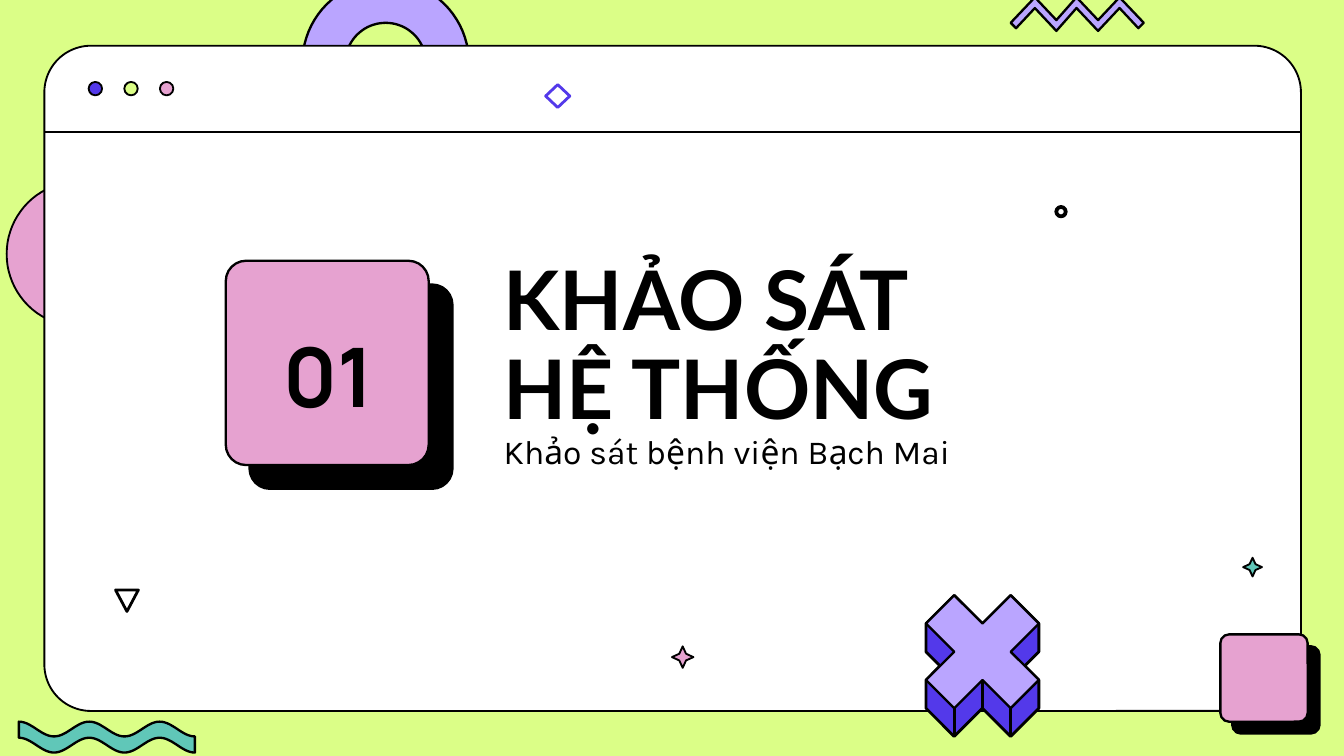
"""Build the section slide "KHẢO SÁT HỆ THỐNG" with its window and decorations."""
from math import cos, pi, sin

from lxml import etree
from pptx import Presentation
from pptx import util as u
from pptx.dml.color import RGBColor
from pptx.enum import shapes, text
from pptx.oxml import ns

LIME = RGBColor(0xDB, 0xFE, 0x87)
LILAC = RGBColor(0xBA, 0xA5, 0xFF)
INDIGO = RGBColor(0x53, 0x39, 0xEA)
PINK = RGBColor(0xE6, 0xA2, 0xD0)
TEAL = RGBColor(0x60, 0xC7, 0xB8)
WHITE = RGBColor(0xFF, 0xFF, 0xFF)
BLACK = RGBColor(0, 0, 0)
SHAPE = shapes.MSO_SHAPE
TOP, MIDDLE, BOTTOM = text.MSO_ANCHOR.TOP, text.MSO_ANCHOR.MIDDLE, text.MSO_ANCHOR.BOTTOM
LEFT, CENTER = text.PP_ALIGN.LEFT, text.PP_ALIGN.CENTER

LABELS = [
    ("KHẢO SÁT\vHỆ THỐNG", (3.65, 1.85, 4.33, 1.45), "Lato", 44, True, BOTTOM, LEFT, 0),
    ("Khảo sát bệnh viện Bạch Mai", (3.65, 3.19, 4.33, 0.47), "Karla", 18, False, TOP, LEFT, 7.5),
    ("01", (1.69, 2.44, 1.51, 0.79), "Manrope", 44, True, MIDDLE, CENTER, 7.5),
]
CARDS = [((1.68, 1.94, 1.51, 1.52), 18), ((9.08, 4.72, 0.65, 0.65), 9)]
SPARKLES = [((5, 4.81, 0.16, 0.16), PINK), ((9.25, 4.15, 0.14, 0.14), TEAL)]
OUTLINED = [
    (SHAPE.FLOWCHART_MERGE, (0.86, 4.39, 0.17, 0.16), BLACK, 1.5),
    (SHAPE.DIAMOND, (4.06, 0.63, 0.18, 0.17), INDIGO, 1.5),
    (SHAPE.OVAL, (7.86, 1.54, 0.07, 0.07), BLACK, 2),
]
WINDOW_DOTS = [INDIGO, LIME, PINK]
ZIGZAG = [
    (8.17, 0.23), (8.01, 0.06), (7.86, 0.23), (7.7, 0.06), (7.56, 0.21), (7.52, 0.17), (7.7, -0.02),
    (7.86, 0.15), (8.01, -0.02), (8.17, 0.15), (8.33, -0.02), (8.51, 0.17), (8.47, 0.21), (8.33, 0.06),
]
CROSS_CENTER, CROSS_ARM, CROSS_DEPTH = (7.31, 4.85), 0.21, 0.21
CROSS_FACE = [(1, -2), (2, -1), (1, 0), (2, 1), (1, 2), (0, 1),
              (-1, 2), (-2, 1), (-1, 0), (-2, -1), (-1, -2), (0, -1)]
CROSS_BODY = [(1, -2), (2, -1), (2, 0), (1.5, 0.5), (2, 1), (2, 2), (1, 3), (0, 2),
              (-1, 3), (-2, 2), (-2, 1), (-1.5, 0.5), (-2, 0), (-2, -1), (-1, -2), (0, -1)]
CROSS_EDGES = [(-1, 2), (0, 1), (1, 2)]


def arc(center, radius, start, end, steps=40):
    angles = [(start + (end - start) * i / steps) * pi / 180 for i in range(steps + 1)]
    return [(center[0] + radius * cos(a), center[1] + radius * sin(a)) for a in angles]


def arch(center, outer, inner):
    x, y = center
    middle, cap = (outer + inner) / 2, (outer - inner) / 2
    return (arc(center, outer, 180, 360) + arc((x + middle, y), cap, 0, 180)
            + arc(center, inner, 360, 180) + arc((x - middle, y), cap, 0, 180))


def wave(left, top, width, turns, swing, thickness, steps=100):
    upper = [(left + width * i / steps,
              top + swing / 2 * (1 - cos(2 * pi * turns * i / steps))) for i in range(steps + 1)]
    return upper + [(x, y + thickness) for x, y in reversed(upper)]


def cross_point(step):
    return tuple(c + s * CROSS_ARM for c, s in zip(CROSS_CENTER, step))


def paint(shape, fill, line=BLACK, width=1.25):
    shape.shadow.inherit = False
    if fill is None:
        shape.fill.background()
    else:
        shape.fill.solid()
        shape.fill.fore_color.rgb = fill
    shape.line.color.rgb = line
    shape.line.width = u.Pt(width)
    return shape


def preset(slide, kind, box, fill, line=BLACK, width=1.25, adjust=None):
    shape = slide.shapes.add_shape(kind, *map(u.Inches, box))
    if adjust is not None:
        shape.adjustments[0] = adjust
    return paint(shape, fill, line, width)


def outline(slide, points, fill, width=1.25):
    corners = [(u.Inches(x), u.Inches(y)) for x, y in points]
    builder = slide.shapes.build_freeform(*corners[0])
    builder.add_line_segments(corners[1:], close=True)
    return paint(builder.convert_to_shape(), fill, width=width)


def rule(slide, start, end, width):
    line = slide.shapes.add_connector(shapes.MSO_CONNECTOR.STRAIGHT, *map(u.Inches, start + end))
    line.line.color.rgb = BLACK
    line.line.width = u.Pt(width)
    etree.SubElement(line._element.spPr, ns.qn("a:effectLst"))


def card(slide, box, distance):
    shape = preset(slide, SHAPE.ROUNDED_RECTANGLE, box, PINK, adjust=0.1)
    effects = shape._element.spPr.find(ns.qn("a:effectLst"))
    shadow = etree.SubElement(effects, ns.qn("a:outerShdw"), blurRad="0", dist=str(u.Pt(distance)),
                              dir="2700000", algn="bl", rotWithShape="0")
    etree.SubElement(shadow, ns.qn("a:srgbClr"), val=str(BLACK))


def label(slide, words, box, font, size, bold, anchor, align, before):
    frame = slide.shapes.add_textbox(*map(u.Inches, box)).text_frame
    frame.word_wrap = True
    frame.vertical_anchor = anchor
    frame.text = words
    paragraph = frame.paragraphs[0]
    paragraph.alignment = align
    paragraph.line_spacing = 0.9
    paragraph.space_before = u.Pt(before)
    paragraph.font.name = font
    paragraph.font.size = u.Pt(size)
    paragraph.font.bold = bold
    paragraph.font.color.rgb = BLACK


def main():
    deck = Presentation()
    deck.slide_width = u.Inches(10)
    deck.slide_height = deck.slide_width * 9 // 16
    slide = deck.slides.add_slide(deck.slide_layouts[6])
    slide.background.fill.solid()
    slide.background.fill.fore_color.rgb = LIME

    outline(slide, arch((2.87, 0.47), 0.62, 0.3), LILAC)
    outline(slide, arc((0.59, 1.89), 0.54, 90, 270), PINK, 1)
    preset(slide, SHAPE.ROUNDED_RECTANGLE, (0.33, 0.34, 9.35, 4.95), WHITE, width=1, adjust=0.07)
    rule(slide, (0.33, 0.98), (9.67, 0.98), 1)

    card(slide, *CARDS[0])
    for entry in LABELS:
        label(slide, *entry)
    for box, color in SPARKLES:
        preset(slide, SHAPE.STAR_4_POINT, box, color, width=1, adjust=0.22)
    for kind, box, color, width in OUTLINED:
        preset(slide, kind, box, None, color, width)

    outline(slide, map(cross_point, CROSS_BODY), INDIGO, 1.5)
    outline(slide, map(cross_point, CROSS_FACE), LILAC)
    for x, y in map(cross_point, CROSS_EDGES):
        rule(slide, (x, y), (x, y + CROSS_DEPTH), 1.5)

    card(slide, *CARDS[1])
    for i, color in enumerate(WINDOW_DOTS):
        preset(slide, SHAPE.OVAL, (0.66 + 0.265 * i, 0.61, 0.1, 0.1), color, width=1)
    outline(slide, wave(0.14, 5.37, 1.31, 2.5, 0.11, 0.12), TEAL)
    outline(slide, ZIGZAG, LILAC)
    deck.save("out.pptx")


if __name__ == "__main__":
    main()
